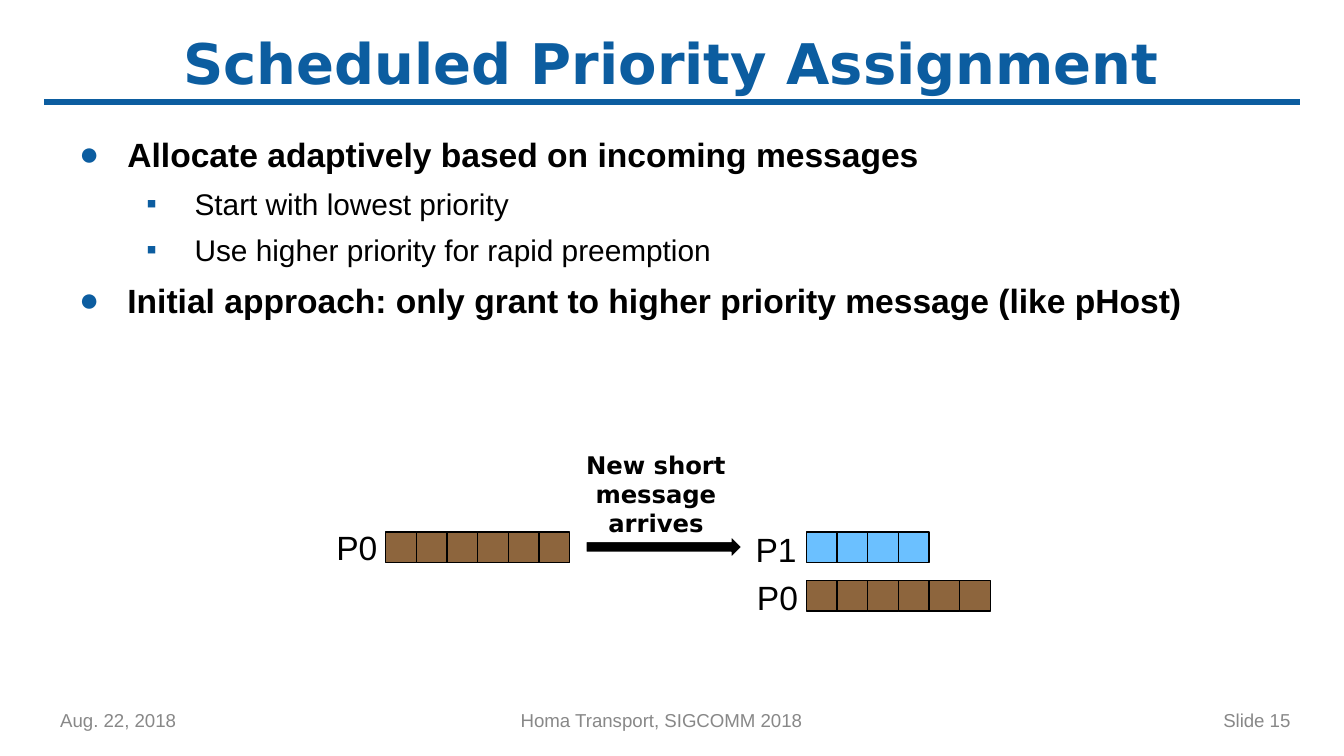
from dataclasses import dataclass

from lxml.etree import SubElement
from pptx import Presentation
from pptx.dml.color import RGBColor
from pptx.enum.shapes import MSO_CONNECTOR, MSO_SHAPE
from pptx.enum.text import MSO_ANCHOR, MSO_AUTO_SIZE, PP_ALIGN
from pptx.oxml.ns import qn
from pptx.util import Inches, Pt

WIDTH = 10
HEIGHT = WIDTH * 9 / 16
BLUE, BLACK, GRAY, WHITE = "0C5DA0", "000000", "888888", "FFFFFF"
BROWN, SKY = "8D653D", "6BC0FF"
CELL = 1.37 / 6  # six packets span 1.37 inches
LEFT, MID, RIGHT = PP_ALIGN.LEFT, PP_ALIGN.CENTER, PP_ALIGN.RIGHT
TOP, HALF = MSO_ANCHOR.TOP, MSO_ANCHOR.MIDDLE

BODY = {"size": Pt(18), "name": "Arial", "bold": False}
SMALL = BODY | {"size": Pt(10)}
HEAD = {"size": Pt(30), "name": "DejaVu Sans", "bold": True}
NOTE = HEAD | {"size": Pt(13)}


@dataclass
class Label:
    text: str
    box: tuple
    font: dict
    hue: str = BLACK
    align: PP_ALIGN = MID
    anchor: MSO_ANCHOR = TOP
    inset: float = 0.05


@dataclass
class Message:
    left: float
    top: float
    count: int
    hue: str


@dataclass
class Point:
    text: str
    level: int = 0


def color(code: str) -> RGBColor:
    return RGBColor.from_string(code)


def style(font, form: dict, hue: str) -> None:
    for key, value in form.items():
        setattr(font, key, value)
    font.color.rgb = color(hue)


def place(box: tuple) -> list:
    return [Inches(n) for n in box]


def write(shape, item: Label) -> None:
    frame = shape.text_frame
    form = {
        "word_wrap": True, "auto_size": MSO_AUTO_SIZE.NONE,
        "vertical_anchor": item.anchor,
        "margin_left": Inches(0.1), "margin_right": Inches(0.1),
        "margin_top": Inches(item.inset), "margin_bottom": Inches(item.inset),
    }
    for key, value in form.items():
        setattr(frame, key, value)
    para = frame.paragraphs[0]
    para.alignment = item.align
    run = para.add_run()
    run.text = item.text
    style(run.font, item.font, item.hue)


def add_label(shapes, item: Label) -> None:
    write(shapes.add_textbox(*place(item.box)), item)


def add_block(shapes, kind: MSO_SHAPE, box: tuple, fill: str, edge: str) -> None:
    shape = shapes.add_shape(kind, *place(box))
    shape.shadow.inherit = False
    shape.fill.solid()
    shape.fill.fore_color.rgb = color(fill)
    shape.line.color.rgb = color(edge)
    shape.line.width = Pt(0.75)


def add_message(shapes, item: Message) -> None:
    for i in range(item.count):
        box = (item.left + i * CELL, item.top, CELL, CELL)
        add_block(shapes, MSO_SHAPE.RECTANGLE, box, item.hue, BLACK)


def add_points(shapes, points: list, box: tuple) -> None:
    frame = shapes.add_textbox(*place(box)).text_frame
    frame.word_wrap = True
    for i, point in enumerate(points):
        para = frame.paragraphs[0] if i == 0 else frame.add_paragraph()
        para.level = point.level
        para.line_spacing = 1.3
        run = para.add_run()
        run.text = point.text
        top = point.level == 0
        style(run.font, BODY | {"size": Pt(18 if top else 16), "bold": top}, BLACK)
        # Hanging bullet
        props = para._p.get_or_add_pPr()
        props.set("marL", str(Inches(0.5 * (point.level + 1))))
        props.set("indent", str(Inches(-0.36)))
        tint = SubElement(props, qn("a:buClr"))
        SubElement(tint, qn("a:srgbClr"), val=BLUE)
        SubElement(props, qn("a:buFont"), typeface="Arial")
        SubElement(props, qn("a:buChar"), char="●" if top else "▪")


def add_rule(shapes, left: float, right: float, y: float) -> None:
    rule = shapes.add_connector(MSO_CONNECTOR.STRAIGHT, *place((left, y, right, y)))
    rule.line.color.rgb = color(BLUE)
    rule.line.width = Pt(3.5)
    rule.line._get_or_add_ln().set("cap", "sq")
    SubElement(rule._element.spPr, qn("a:effectLst"))


POINTS = [
    Point("Allocate adaptively based on incoming messages"),
    Point("Start with lowest priority", 1),
    Point("Use higher priority for rapid preemption", 1),
    Point("Initial approach: only grant to higher priority message (like pHost)"),
]
FOOTER = [
    Label("Aug. 22, 2018", (0.35, 5.21, 1.1, 0.3), SMALL, GRAY, LEFT, HALF),
    Label("Homa Transport, SIGCOMM 2018", (3.68, 5.21, 2.48, 0.3), SMALL, GRAY, MID, HALF),
    Label("Slide 15", (8.95, 5.21, 0.75, 0.3), SMALL, GRAY, RIGHT, HALF),
]
BEFORE = [Message(2.87, 3.96, 6, BROWN)], [Label("P0", (2.4, 3.87, 0.51, 0.4), BODY)]
AFTER = [Message(6, 4.32, 6, BROWN), Message(6, 3.96, 4, SKY)], [
    Label("New short message arrives", (3.98, 3.25, 1.8, 0.29), NOTE, inset=0.1),
    Label("P0", (5.53, 4.24, 0.51, 0.4), BODY),
    Label("P1", (5.52, 3.89, 0.51, 0.4), BODY),
]


def main() -> None:
    deck = Presentation()
    deck.slide_width, deck.slide_height = place((WIDTH, HEIGHT))
    slide = deck.slides.add_slide(deck.slide_layouts[5])
    shapes = slide.shapes

    # Title and rule
    title = shapes.title
    head = Label("Scheduled Priority Assignment", (0.33, 0.16, 9.33, 0.6),
                 HEAD, BLUE, anchor=HALF)
    title.left, title.top, title.width, title.height = place(head.box)
    write(title, head)
    add_rule(shapes, 0.35, 9.65, 0.76)

    # Bullets and footer
    add_points(shapes, POINTS, (0.35, 0.86, 9.3, 4.2))
    for item in FOOTER:
        add_label(shapes, item)

    # Message queues before and after the arrival
    for queues, labels in (BEFORE, AFTER):
        group = shapes.add_group_shape().shapes
        for queue in queues:
            add_message(group, queue)
        for item in labels:
            add_label(group, item)
    add_block(group, MSO_SHAPE.RIGHT_ARROW, (4.36, 3.99, 1.16, 0.16), BLACK, WHITE)

    deck.save("out.pptx")


if __name__ == "__main__":
    main()
